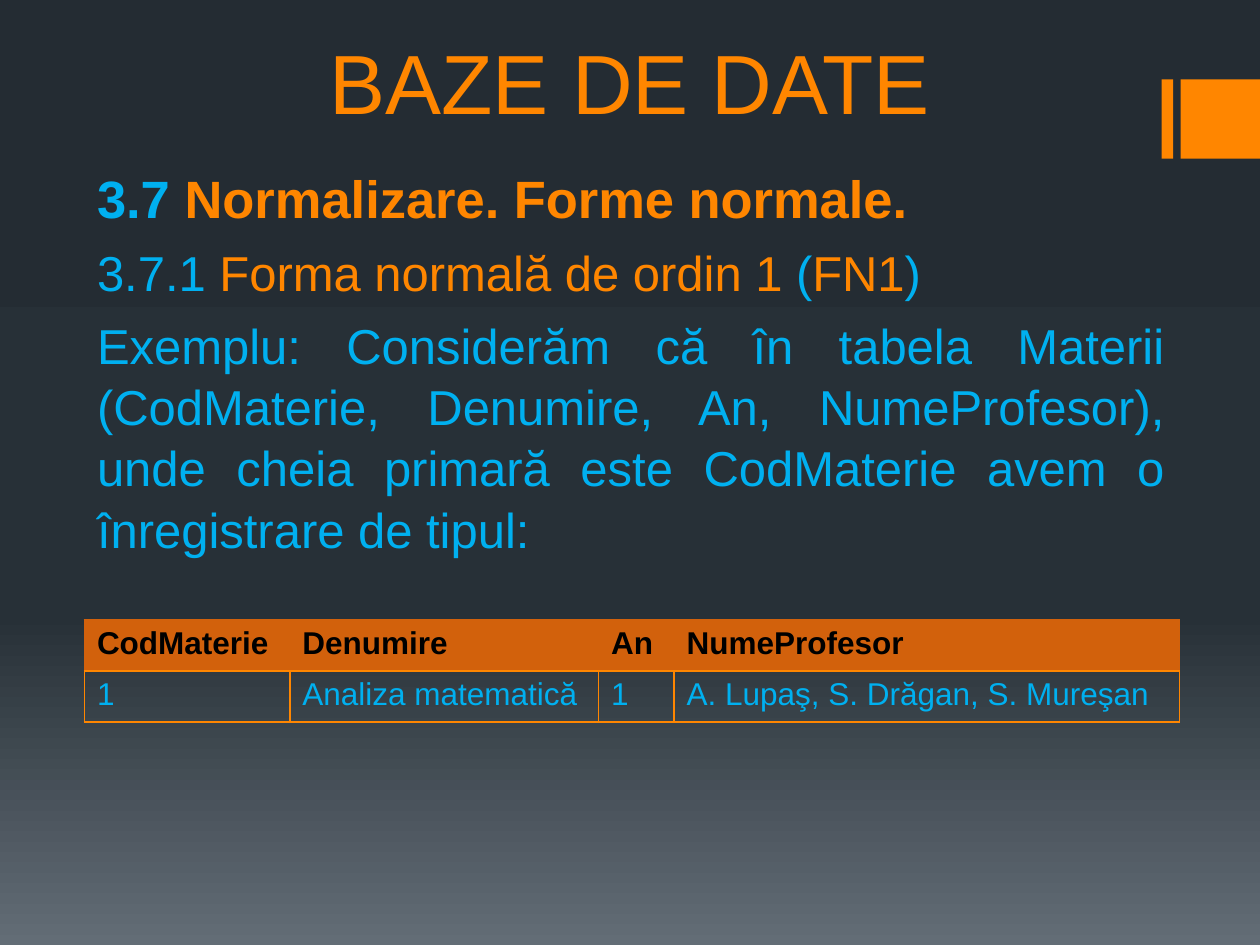
from lxml import etree
from pptx import Presentation
from pptx.dml.color import RGBColor
from pptx.enum.shapes import MSO_SHAPE
from pptx.enum.text import MSO_ANCHOR, PP_ALIGN
from pptx.oxml import parse_xml
from pptx.oxml.ns import nsdecls, qn
from pptx.util import Inches, Pt

ORANGE = RGBColor(0xFF, 0x86, 0x00)
DARK_ORANGE = RGBColor(0xD2, 0x61, 0x0C)
BLUE = RGBColor(0x00, 0xB0, 0xF0)
BLACK = RGBColor(0x00, 0x00, 0x00)
BACKGROUND_STOPS = [
    (0, RGBColor(0x24, 0x2C, 0x33)),
    (65, RGBColor(0x27, 0x30, 0x37)),
    (100, RGBColor(0x63, 0x6D, 0x76)),
]
FONT = "Arial"


def format_run(run, size, color, bold=False):
    run.font.name = FONT
    run.font.size = Pt(size)
    run.font.bold = bold
    run.font.color.rgb = color


def add_border(cell, side, color):
    """Draw one cell edge; call before the cell fill is set, in the order L, R, T, B."""
    line = etree.SubElement(cell._tc.get_or_add_tcPr(), qn(f"a:ln{side}"), w=str(Pt(1)))
    fill = etree.SubElement(line, qn("a:solidFill"))
    etree.SubElement(fill, qn("a:srgbClr"), val=str(color))


presentation = Presentation()
presentation.slide_width = Inches(10)
presentation.slide_height = Inches(7.5)
slide = presentation.slides.add_slide(presentation.slide_layouts[0])

# Background: vertical gradient with three stops
background_fill = slide.background.fill
background_fill.gradient()
background_fill.gradient_angle = 270
stop_list = slide.background._cSld.find(".//" + qn("a:gsLst"))
for stop in list(stop_list):
    stop_list.remove(stop)
for position, color in BACKGROUND_STOPS:
    stop_list.append(parse_xml(
        f'<a:gs {nsdecls("a")} pos="{position * 1000}"><a:srgbClr val="{color}"/></a:gs>'
    ))

# Orange marker at the right edge
for left, width in [(9.22, 0.09), (9.37, 0.63)]:
    bar = slide.shapes.add_shape(
        MSO_SHAPE.RECTANGLE, Inches(left), Inches(0.63), Inches(width), Inches(0.63)
    )
    bar.shadow.inherit = False
    bar.fill.solid()
    bar.fill.fore_color.rgb = ORANGE
    bar.line.fill.background()

# Title
title = slide.shapes.title
title.left, title.top = Inches(0.75), Inches(0)
title.width, title.height = Inches(8.5), Inches(1.09)
title.text_frame.text = "BAZE DE DATE"
title.text_frame.vertical_anchor = MSO_ANCHOR.BOTTOM
title_paragraph = title.text_frame.paragraphs[0]
title_paragraph.alignment = PP_ALIGN.CENTER
format_run(title_paragraph.runs[0], 48, ORANGE)

# Body: alignment, size, bold, coloured runs
body_paragraphs = [
    (PP_ALIGN.LEFT, 30, True, [("3.7 ", BLUE), ("Normalizare. Forme normale.", ORANGE)]),
    (PP_ALIGN.JUSTIFY, 28, False, [
        ("3.7.1 ", BLUE), ("Forma normală de ordin 1 ", ORANGE),
        ("(", BLUE), ("FN1", ORANGE), (")", BLUE),
    ]),
    (PP_ALIGN.JUSTIFY, 28, False, [
        ("Exemplu: Considerăm că în tabela Materii (CodMaterie, Denumire, An, "
         "NumeProfesor), unde cheia primară este CodMaterie avem o "
         "înregistrare de tipul:", BLUE),
    ]),
]
body = slide.placeholders[1]
body.left, body.top = Inches(0.67), Inches(1.25)
body.width, body.height = Inches(8.67), Inches(5.58)
body_frame = body.text_frame
body_frame.vertical_anchor = MSO_ANCHOR.TOP
for index, (alignment, size, bold, pieces) in enumerate(body_paragraphs):
    paragraph = body_frame.add_paragraph() if index else body_frame.paragraphs[0]
    paragraph.alignment = alignment
    paragraph.line_spacing = 1.04
    paragraph.space_before = Pt(6.5)
    for text, color in pieces:
        run = paragraph.add_run()
        run.text = text
        format_run(run, size, color, bold)

# Table
column_widths = [1.63, 2.45, 0.6, 4.01]
table_rows = [
    ["CodMaterie", "Denumire", "An", "NumeProfesor"],
    ["1", "Analiza matematică", "1", "A. Lupaş, S. Drăgan, S. Mureşan"],
]
table = slide.shapes.add_table(
    len(table_rows), len(column_widths),
    Inches(0.67), Inches(4.92), Inches(8.7), Inches(0.81),
).table
for column, width in zip(table.columns, column_widths):
    column.width = Inches(width)
for row_index, texts in enumerate(table_rows):
    is_header = row_index == 0
    for column_index, text in enumerate(texts):
        cell = table.cell(row_index, column_index)
        cell.text_frame.text = text
        format_run(cell.text_frame.paragraphs[0].runs[0], 18,
                   BLACK if is_header else BLUE, is_header)
        for side in "LRTB":
            add_border(cell, side, DARK_ORANGE if is_header and side != "B" else ORANGE)
        if is_header:
            cell.fill.solid()
            cell.fill.fore_color.rgb = DARK_ORANGE
        else:
            cell.fill.background()

presentation.save("out.pptx")
